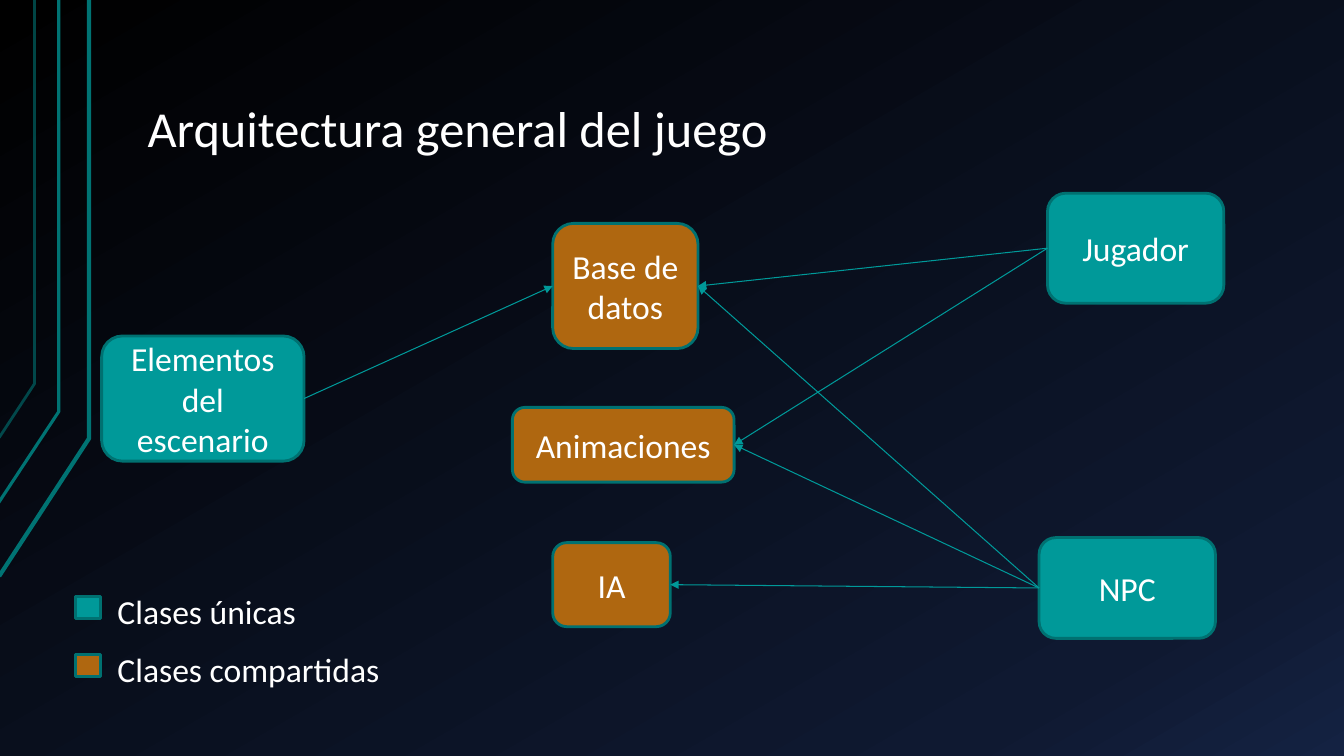
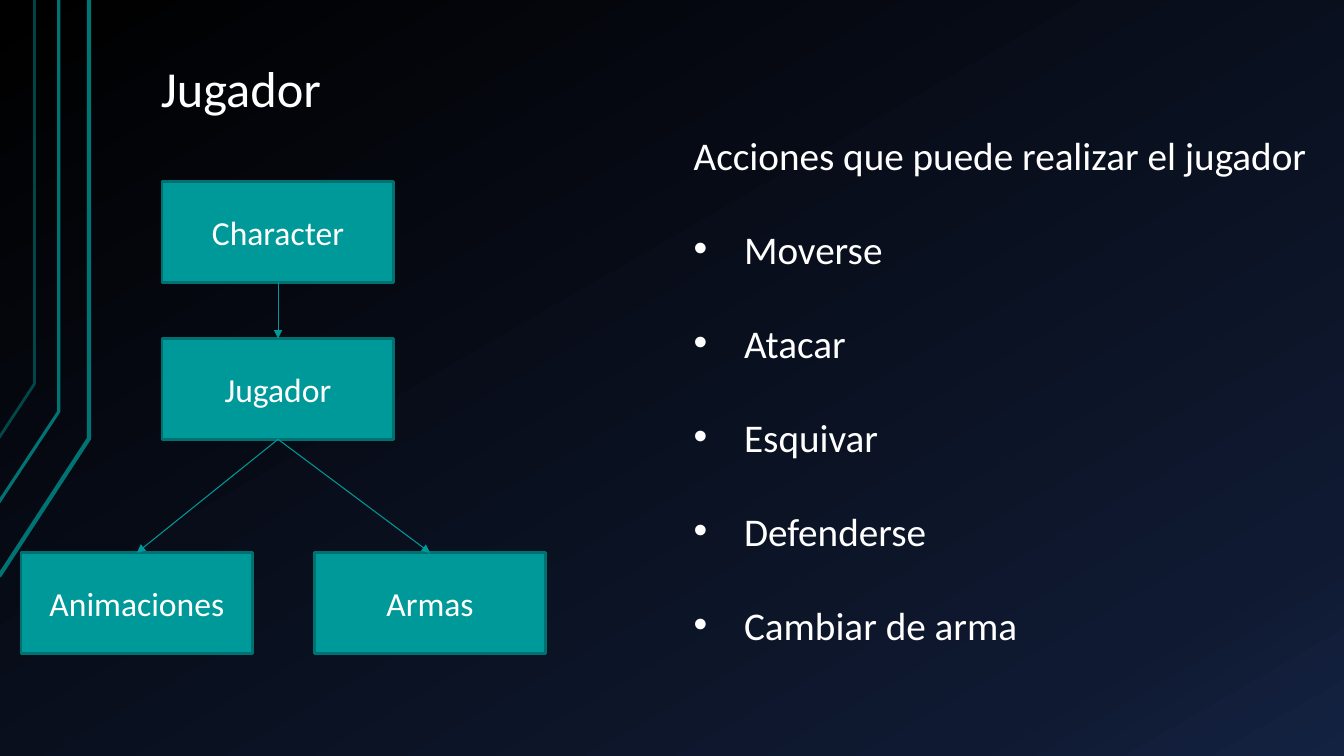
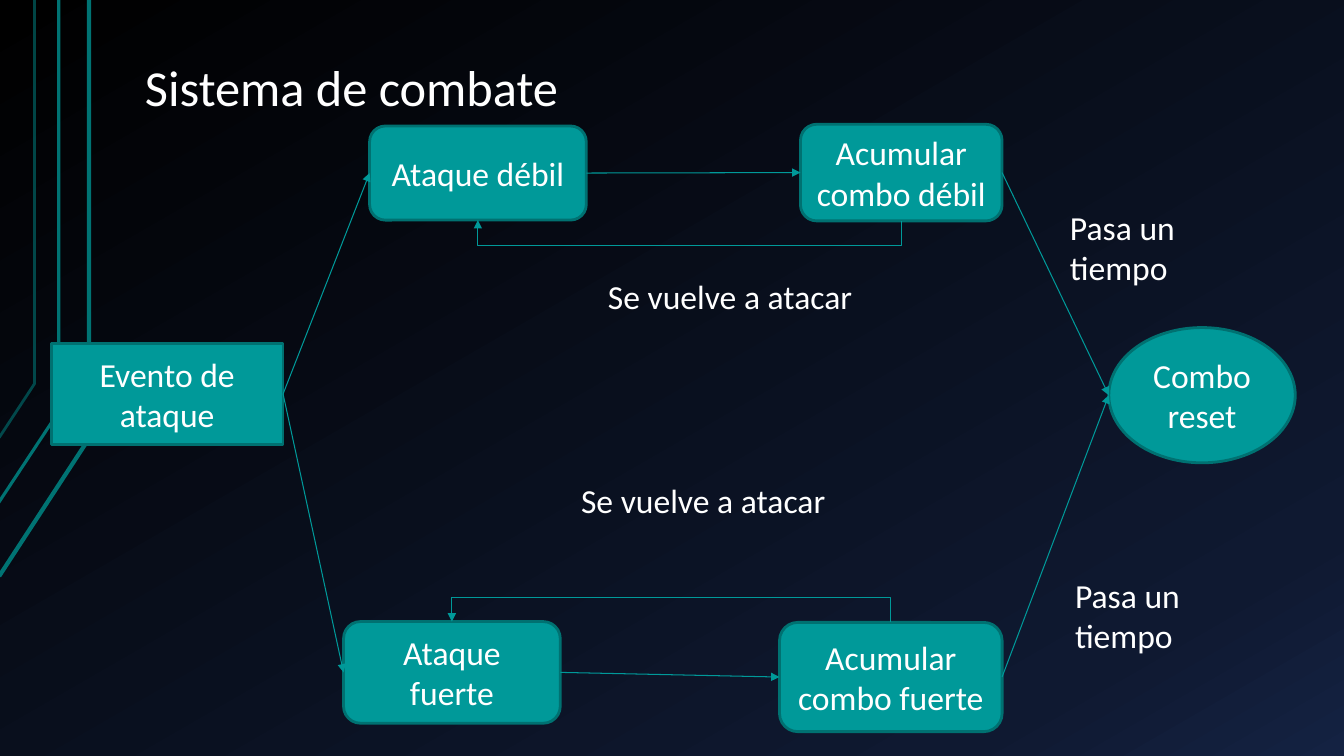
from lxml import etree
from pptx import Presentation
from pptx import util as u
from pptx.dml.color import RGBColor
from pptx.enum import shapes, text
from pptx.oxml.ns import qn

COLUMNS, ROWS = 160, 90
CELL = u.Inches(7.5) / ROWS
FONT = "Calibri"
WHITE, TEAL, ORANGE = "FFFFFF", "009999", "AF6710"
EDGE, BAND = "007171", "007373"
BACKGROUND_STOPS = [(0, "000000"), (85, "0F1931"), (100, "142242")]
BACKGROUND_ANGLE = 60
BANDS = [
    ([(-0.1, 68.6), (10.6, 52.2), (10.6, 0)], 3, 100),
    ([(-0.2, 59.9), (7, 49), (7, 0)], 2.25, 100),
    ([(-0.1, 52.1), (4.1, 45.7), (4.1, 0)], 2, 60),
]
RECTANGLE = shapes.MSO_SHAPE.RECTANGLE
ROUNDED = shapes.MSO_SHAPE.ROUNDED_RECTANGLE
OVAL = shapes.MSO_SHAPE.OVAL
TOP, LEFT, BOTTOM, RIGHT = range(4)


def cells(*values):
    """Turn grid cells into slide lengths."""
    return [u.Emu(round(value * CELL)) for value in values]


def color(hex_string):
    """Turn a hex string into a colour."""
    return RGBColor.from_string(hex_string)


def xml_child(parent, tag, **attributes):
    """Append an XML element with attributes to a parent."""
    child = etree.SubElement(parent, qn(tag))
    for name, value in attributes.items():
        child.set(name, str(value))
    return child


def paint_line(line, hex_string, width):
    """Set the colour and width of a line."""
    line.color.rgb = color(hex_string)
    line.width = u.Pt(width)


def write(shape, content, size=24, align=None, anchor=text.MSO_ANCHOR.TOP,
          spacing=None, before=0, bullets_from=None):
    """Write one paragraph for each line of the content."""
    frame = shape.text_frame
    frame.word_wrap = True
    frame.vertical_anchor = anchor
    for index, words in enumerate(content.split("\n")):
        paragraph = frame.add_paragraph() if index else frame.paragraphs[0]
        paragraph.alignment = align
        paragraph.line_spacing = spacing
        if index:
            paragraph.space_before = u.Pt(before)
        run = paragraph.add_run()
        run.text = words
        run.font.name = FONT
        run.font.size = u.Pt(size)
        run.font.color.rgb = color(WHITE)
        if bullets_from is not None and index >= bullets_from:
            properties = paragraph._p.get_or_add_pPr()
            properties.set("marL", str(u.Inches(0.5)))
            properties.set("indent", str(-u.Inches(0.5)))
            xml_child(properties, "a:buFont", typeface="Arial")
            xml_child(properties, "a:buChar", char="•")


def add_label(slide, content, left, top, width, height=4.8, **text_format):
    """Add a text box and return it."""
    label = slide.shapes.add_textbox(*cells(left, top, width, height))
    write(label, content, **text_format)
    return label


def add_title(slide, content, left, top):
    """Add the slide title."""
    title = add_label(slide, content, left, top, 136, 16.1, size=36,
                      anchor=text.MSO_ANCHOR.BOTTOM, spacing=0.9)
    frame = title.text_frame
    frame.margin_left = frame.margin_right = u.Inches(0.13)
    frame.margin_top = frame.margin_bottom = u.Inches(0.07)


def add_box(slide, content, left, top, width, height, kind=ROUNDED, fill=TEAL):
    """Add an outlined box with centred text."""
    box = slide.shapes.add_shape(kind, *cells(left, top, width, height))
    box.shadow.inherit = False
    box.fill.solid()
    box.fill.fore_color.rgb = color(fill)
    paint_line(box.line, EDGE, 2)
    if content:
        write(box, content, align=text.PP_ALIGN.CENTER, anchor=text.MSO_ANCHOR.MIDDLE)
    return box


def add_arrow(slide, start, start_side, end, end_side, bent=False):
    """Add an arrow between two boxes; an oval is met at its left."""
    kind = shapes.MSO_CONNECTOR.ELBOW if bent else shapes.MSO_CONNECTOR.STRAIGHT
    arrow = slide.shapes.add_connector(kind, 0, 0, end.left, end.top + end.height // 2)
    arrow.begin_connect(start, start_side)
    if end.auto_shape_type != OVAL:
        arrow.end_connect(end, end_side)
    paint_line(arrow.line, TEAL, 0.75)
    xml_child(arrow.line._get_or_add_ln(), "a:tailEnd", type="triangle")
    xml_child(arrow._element.spPr, "a:effectLst")
    return arrow


def add_return_arrow(slide, start, end, side, depth=3):
    """Add a bent arrow that leaves and enters on the same side."""
    arrow = add_arrow(slide, start, side, end, side, bent=True)
    span, drop = arrow.width, arrow.height
    middle_x, middle_y = arrow.left + span // 2, arrow.top + drop // 2
    arrow.left, arrow.top = middle_x - drop // 2, middle_y - span // 2
    arrow.width, arrow.height = drop, span
    frame = arrow._element.spPr.find(qn("a:xfrm"))
    for flip in ("flipH", "flipV"):
        frame.attrib.pop(flip, None)
    below = side == BOTTOM
    frame.set("rot", str((90 if below else 270) * 60000))
    frame.set("flipH" if below else "flipV", "1")
    share = round(depth * CELL / drop * 100000) * (-1 if below else 1)
    guides = arrow._element.spPr.find(qn("a:prstGeom")).get_or_add_avLst()
    xml_child(guides, "a:gd", name="adj1", fmla=f"val {share}")


def set_background(presentation):
    """Give the slide master its gradient."""
    master = presentation.slide_master
    master.background.fill.gradient()
    gradient = master._element.find(".//" + qn("a:gradFill"))
    for child in list(gradient):
        gradient.remove(child)
    stops = xml_child(gradient, "a:gsLst")
    for position, hex_string in BACKGROUND_STOPS:
        stop = xml_child(stops, "a:gs", pos=position * 1000)
        xml_child(stop, "a:srgbClr", val=hex_string)
    xml_child(gradient, "a:lin", ang=BACKGROUND_ANGLE * 60000, scaled=0)


def add_slide(presentation):
    """Add a blank slide with the bands at its left edge."""
    slide = presentation.slides.add_slide(presentation.slide_layouts[6])
    for points, width, opacity in BANDS:
        start, *others = [cells(*point) for point in points]
        builder = slide.shapes.build_freeform(*start)
        builder.add_line_segments(others, close=False)
        band = builder.convert_to_shape()
        band.shadow.inherit = False
        band.fill.background()
        paint_line(band.line, BAND, width)
        if opacity < 100:
            paint = band.line._get_or_add_ln().find(".//" + qn("a:srgbClr"))
            xml_child(paint, "a:alpha", val=opacity * 1000)
    return slide


def add_architecture(presentation):
    """Add the slide on the architecture of the game."""
    slide = add_slide(presentation)
    add_title(slide, "Arquitectura general del juego", 16, 3.6)
    database = add_box(slide, "Base de datos", 65.8, 26.6, 17.3, 14.9, fill=ORANGE)
    animations = add_box(slide, "Animaciones", 61, 48.5, 26.4, 8.9, fill=ORANGE)
    intelligence = add_box(slide, "IA", 65.8, 64.6, 14, 10, fill=ORANGE)
    player = add_box(slide, "Jugador", 124.7, 23, 21, 13.1)
    character = add_box(slide, "NPC", 123.7, 64, 21, 12)
    scenery = add_box(slide, "Elementos\ndel\nescenario", 12.1, 40, 24.1, 14.9)
    for start, end in [(player, database), (player, animations), (character, animations),
                       (character, intelligence), (character, database)]:
        add_arrow(slide, start, LEFT, end, RIGHT)
    add_arrow(slide, scenery, RIGHT, database, LEFT)
    for top, fill, words in [(71, TEAL, "Clases únicas"),
                             (77.9, ORANGE, "Clases compartidas")]:
        add_box(slide, "", 9, top, 3, 2.6, RECTANGLE, fill)
        add_label(slide, words, 12.8, top - 1.2, 38)


def add_player(presentation):
    """Add the slide on the player."""
    slide = add_slide(presentation)
    add_title(slide, "Jugador", 17.6, -1.1)
    character, player, animations, weapons = [
        add_box(slide, words, left, top, 27.6, 12, RECTANGLE)
        for words, left, top in [("Character", 19.3, 21.6), ("Jugador", 19.3, 40.3),
                                 ("Animaciones", 2.5, 65.8), ("Armas", 37.4, 65.8)]]
    for start, end in [(character, player), (player, animations), (player, weapons)]:
        add_arrow(slide, start, BOTTOM, end, TOP)
    actions = ["Acciones que puede realizar el jugador", "Moverse", "Atacar",
               "Esquivar", "Defenderse", "Cambiar de arma"]
    add_label(slide, "\n".join(actions), 81.4, 15, 78.6, 63.4,
              size=28, before=33.5, bullets_from=1)


def add_combat(presentation):
    """Add the slide on the combat system."""
    slide = add_slide(presentation)
    add_title(slide, "Sistema de combate", 15.7, -1.3)
    event = add_box(slide, "Evento de ataque", 6.1, 40.9, 27.6, 12, RECTANGLE)
    weak = add_box(slide, "Ataque débil", 44, 15, 25.8, 11.2)
    strong = add_box(slide, "Ataque fuerte", 40.9, 74, 25.8, 12.1)
    reset = add_box(slide, "Combo reset", 132, 39, 22.2, 16.1, OVAL)
    weak_combo = add_box(slide, "Acumular combo débil", 95.3, 14.8, 24, 11.5)
    strong_combo = add_box(slide, "Acumular combo fuerte", 92.8, 74.1, 26.5, 13)
    for attack, combo, side in [(weak, weak_combo, BOTTOM), (strong, strong_combo, TOP)]:
        for start, end in [(event, attack), (attack, combo), (combo, reset)]:
            add_arrow(slide, start, RIGHT, end, LEFT)
        add_return_arrow(slide, combo, attack, side)
    for left, top in [(71.2, 32.2), (68, 56.6)]:
        add_label(slide, "Se vuelve a atacar", left, top, 35)
    for left, top in [(126.2, 24), (126.8, 67.8)]:
        add_label(slide, "Pasa un tiempo", left, top, 22.2)


def main():
    """Build and save the presentation."""
    presentation = Presentation()
    presentation.slide_width, presentation.slide_height = cells(COLUMNS, ROWS)
    set_background(presentation)
    add_architecture(presentation)
    add_player(presentation)
    add_combat(presentation)
    presentation.save("out.pptx")


if __name__ == "__main__":
    main()
